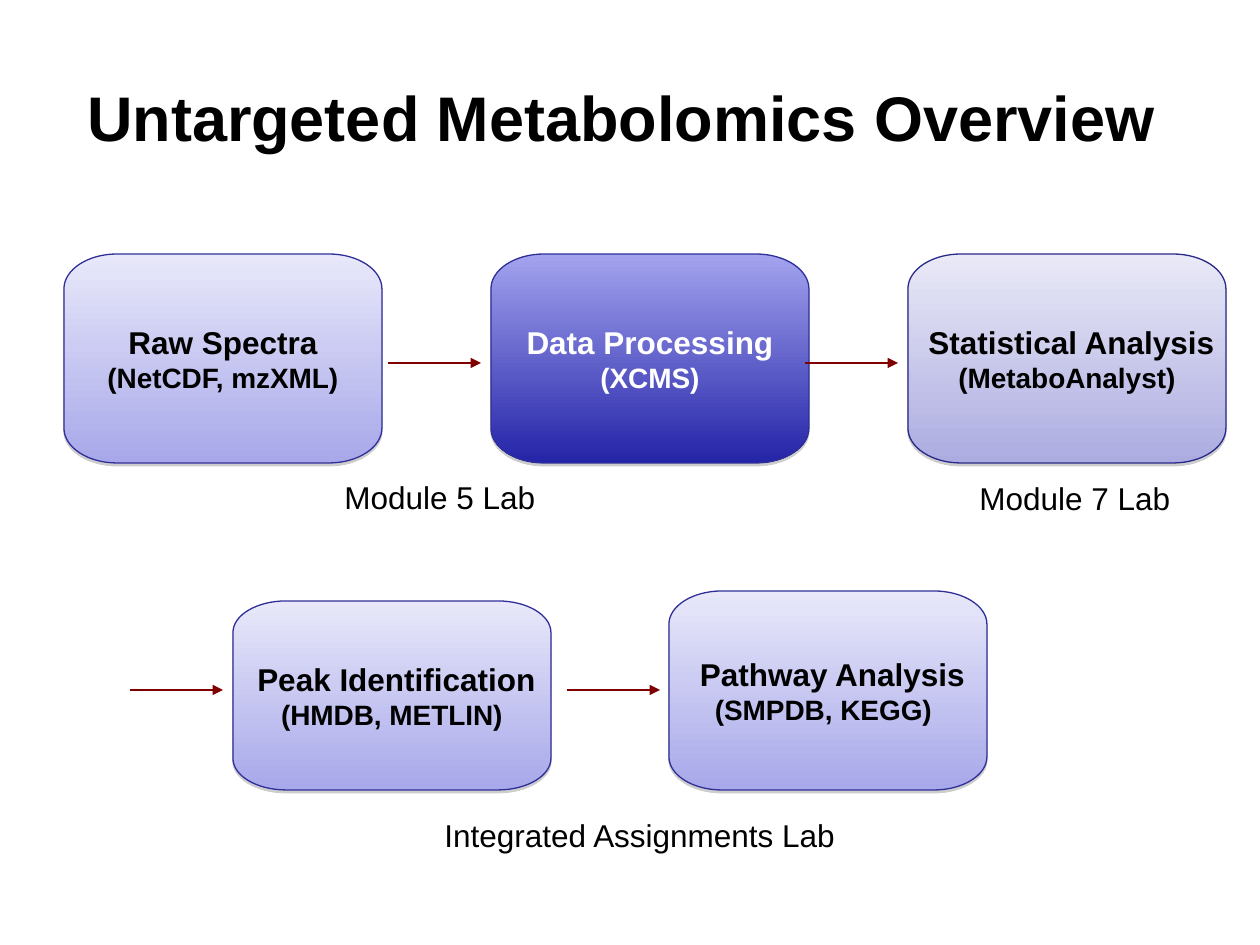
from lxml import etree
from pptx import Presentation
from pptx import util as u
from pptx.dml.color import RGBColor
from pptx.enum import text
from pptx.oxml import parse_xml
from pptx.oxml.ns import nsdecls, qn

# Content: px at 126 to the inch
TITLE = ("Untargeted Metabolomics Overview", (54, 37, 1134, 158))
STEP_W = 318
NUDGE = 9  # side indent that shifts a centred line by half as much
# heading, tools, look, left, top, height, heading indent, tools indent
STEPS = [
    ("Raw Spectra", "(NetCDF, mzXML)", "light", 64, 254, 209, None, None),
    ("Data Processing", "(XCMS)", "dark", 491, 254, 209, None, None),
    ("Statistical Analysis", "(MetaboAnalyst)", "grey", 908, 254, 209, "marL", None),
    ("Peak Identification", "(HMDB, METLIN)", "light", 233, 601, 189, "marL", None),
    ("Pathway Analysis", "(SMPDB, KEGG)", "light", 669, 591, 199, "marL", "marR"),
]
ARROW_LENGTH = 93
ARROWS = [(388, 363), (805, 363), (130, 690), (567, 690)]
LABS = [
    ("Integrated Assignments Lab", (432, 810, 437, 50)),
    ("Module 5 Lab", (332, 472, 248, 50)),
    ("Module 7 Lab", (967, 473, 218, 50)),
]
THEME = {
    "font": "Arial",
    "title": 36, "heading": 18, "tools": 16, "lab": 18,
    "ink": "000000", "arrow": "800000", "shadow": "808080",
    # gradient top, gradient bottom, outline, text
    "light": ("E8E8FA", "A8A8EA", "2F2F98", "000000"),
    "dark": ("A3A3EF", "2424A8", "2F2F98", "FFFFFF"),
    "grey": ("E9E9F7", "ACACE1", "292989", "000000"),
}


def px(n):
    return u.Emu(round(n * 914400 / 126))


def rgb(name):
    return RGBColor.from_string(name)


def style(paragraph, size, color, bold=False, align=None):
    paragraph.alignment = align
    font = paragraph.font
    font.name, font.size, font.bold = THEME["font"], u.Pt(size), bold
    font.color.rgb = rgb(color)


def add_outline(slide, points, close):
    points = [(px(x), px(y)) for x, y in points]
    builder = slide.shapes.build_freeform(*points[0])
    builder.add_line_segments(points[1:], close=close)
    return builder.convert_to_shape()


def add_rounded_box(slide, left, top, width, height):
    """A box whose elliptical corners take a sixth of each side."""
    rx, ry = width / 6, height / 6
    right, bottom = left + width, top + height
    box = add_outline(slide, [
        (left, top + ry), (left + rx, top), (right - rx, top), (right, top + ry),
        (right, bottom - ry), (right - rx, bottom), (left + rx, bottom), (left, bottom - ry),
    ], close=True)

    # Every other segment cuts a corner: bend it into a quarter ellipse
    kappa = 0.55
    nodes = list(box.element.iter(qn("a:pt")))
    places = [(int(node.get("x")), int(node.get("y"))) for node in nodes]
    for i in range(0, 8, 2):
        (x0, y0), (x1, y1) = places[i], places[i + 1]
        # The tangents meet at the outer corner; its axis alternates
        cx, cy = (x0, y1) if i % 4 == 0 else (x1, y0)
        bend = [(x0 + (cx - x0) * kappa, y0 + (cy - y0) * kappa),
                (x1 + (cx - x1) * kappa, y1 + (cy - y1) * kappa)]
        segment = nodes[i + 1].getparent()
        segment.tag = qn("a:cubicBezTo")
        for k, (x, y) in enumerate(bend):
            control = etree.Element(qn("a:pt"), x=str(round(x)), y=str(round(y)))
            segment.insert(k, control)
    return box


def add_step(slide, heading, tools, look, left, top, height, heading_indent, tools_indent):
    top_color, bottom_color, outline, ink = THEME[look]
    box = add_rounded_box(slide, left, top, STEP_W, height)

    # Gradient, outline and shadow
    box.fill.gradient()
    box.fill.gradient_angle = 270
    for stop, color in zip(box.fill.gradient_stops, (top_color, bottom_color)):
        stop.color.rgb = rgb(color)
    box.line.color.rgb = rgb(outline)
    box.line.width = u.Pt(0.75)
    box.element.spPr.append(parse_xml(
        f'<a:effectLst {nsdecls("a")}><a:outerShdw dist="20320" dir="5400000" rotWithShape="0">'
        f'<a:srgbClr val="{THEME["shadow"]}"><a:alpha val="38000"/></a:srgbClr>'
        '</a:outerShdw></a:effectLst>'))

    # Heading above its tools
    frame = box.text_frame
    frame.word_wrap = True
    frame.vertical_anchor = text.MSO_ANCHOR.MIDDLE
    frame.margin_left = frame.margin_right = px(6)
    frame.margin_top = frame.margin_bottom = px(11)
    frame.text = f"{heading}\n{tools}"
    rows = zip(frame.paragraphs, ("heading", "tools"), (heading_indent, tools_indent))
    for paragraph, role, indent in rows:
        style(paragraph, THEME[role], ink, True, text.PP_ALIGN.CENTER)
        if indent:
            paragraph._p.pPr.set(indent, str(px(NUDGE)))


def add_arrow(slide, left, y):
    # Drawn from its head back to its tail
    arrow = add_outline(slide, [(left + ARROW_LENGTH, y), (left, y)], close=False)
    arrow.shadow.inherit = False
    arrow.fill.background()
    arrow.line.color.rgb = rgb(THEME["arrow"])
    arrow.line.width = u.Pt(1.5)
    etree.SubElement(arrow.element.spPr.find(qn("a:ln")), qn("a:headEnd"), type="triangle")


def add_lab(slide, name, area):
    frame = slide.shapes.add_textbox(*map(px, area)).text_frame
    frame.word_wrap = True
    frame.text = name
    style(frame.paragraphs[0], THEME["lab"], THEME["ink"])


def main():
    deck = Presentation()
    deck.slide_width, deck.slide_height = u.Inches(10), u.Inches(7.5)
    slide = deck.slides.add_slide(deck.slide_layouts[5])

    # Title
    title = slide.shapes.title
    title.left, title.top, title.width, title.height = map(px, TITLE[1])
    title.text_frame.text = TITLE[0]
    title.text_frame.vertical_anchor = text.MSO_ANCHOR.MIDDLE
    style(title.text_frame.paragraphs[0], THEME["title"], THEME["ink"], True,
          text.PP_ALIGN.CENTER)

    # Workflow
    for step in STEPS:
        add_step(slide, *step)
    for arrow in ARROWS:
        add_arrow(slide, *arrow)
    for lab in LABS:
        add_lab(slide, *lab)

    deck.save("out.pptx")


if __name__ == "__main__":
    main()
